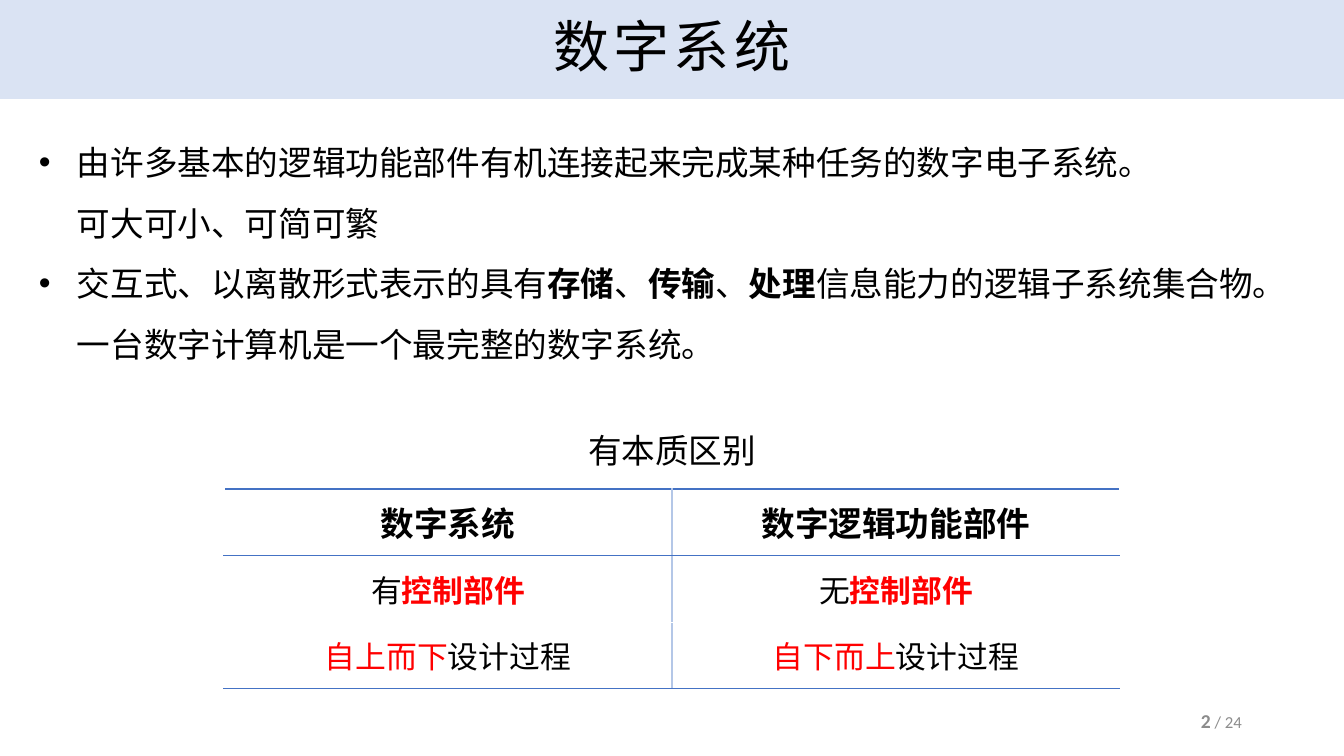
from dataclasses import dataclass

from lxml.etree import SubElement
from pptx import Presentation
from pptx.dml.color import RGBColor
from pptx.enum.shapes import MSO_SHAPE as Shape
from pptx.enum.text import MSO_ANCHOR as Anchor, PP_ALIGN as Align
from pptx.oxml.ns import qn
from pptx.util import Pt

EMU_PER_PX = 914400 / 100.8


@dataclass(frozen=True)
class Theme:
    text: str = "000000"
    accent: str = "FF0000"
    muted: str = "8C8C8C"
    banner: str = "DAE3F3"
    rule: str = "4472C4"
    divider: str = "B4C7E7"
    cjk_font: str = "Noto Sans CJK SC"
    latin_font: str = "Calibri"
    title_size: int = 40
    body_size: int = 24
    cell_size: int = 22
    number_size: int = 14
    total_size: int = 12


THEME = Theme()


def px(value):
    return round(value * EMU_PER_PX)


def place(box):
    return [px(value) for value in box]


def add_run(paragraph, text, size, bold=False, color=THEME.text, font=THEME.cjk_font):
    run = paragraph.add_run()
    run.text = text
    run.font.size = Pt(size)
    run.font.bold = bold
    run.font.color.rgb = RGBColor.from_string(color)
    run.font.name = font
    SubElement(run.font._element, qn("a:ea"), typeface=THEME.cjk_font)
    return run


def add_text_box(slide, box):
    text_frame = slide.shapes.add_textbox(*place(box)).text_frame
    text_frame.word_wrap = True
    return text_frame


def add_title(slide, box, title):
    banner = slide.shapes.add_shape(Shape.RECTANGLE, *place(box))
    banner.shadow.inherit = False
    banner.fill.solid()
    banner.fill.fore_color.rgb = RGBColor.from_string(THEME.banner)
    banner.line.fill.background()
    banner.text_frame.vertical_anchor = Anchor.MIDDLE
    paragraph = banner.text_frame.paragraphs[0]
    paragraph.alignment = Align.CENTER
    paragraph.line_spacing = 0.9
    run = add_run(paragraph, title, THEME.title_size)
    run.font._element.set("spc", "300")


def add_bullets(slide, box, bullets):
    """Each bullet is a list of lines; every second part of a line is bold."""
    text_frame = add_text_box(slide, box)
    for index, lines in enumerate(bullets):
        paragraph = text_frame.add_paragraph() if index else text_frame.paragraphs[0]
        paragraph.line_spacing = 1.5
        properties = paragraph._p.get_or_add_pPr()
        properties.set("marL", str(px(38)))
        properties.set("indent", str(-px(38)))
        SubElement(properties, qn("a:buFont"), typeface="Arial")
        SubElement(properties, qn("a:buChar"), char="•")
        for line_index, parts in enumerate(lines):
            if line_index:
                paragraph.add_line_break()
            for part_index, part in enumerate(parts):
                add_run(paragraph, part, THEME.body_size, bold=part_index % 2 == 1)


def add_caption(slide, box, caption):
    paragraph = add_text_box(slide, box).paragraphs[0]
    paragraph.alignment = Align.CENTER
    add_run(paragraph, caption, THEME.body_size)


def add_border(cell, side, color):
    properties = cell._tc.get_or_add_tcPr()
    line = SubElement(properties, qn(f"a:ln{side}"), w=str(Pt(1)))
    fill = SubElement(line, qn("a:solidFill"))
    SubElement(fill, qn("a:srgbClr"), val=color)


def add_comparison(slide, box, rows):
    """Each cell is a list of (text, bold, color) parts."""
    row_count, column_count = len(rows), len(rows[0])
    table = slide.shapes.add_table(row_count, column_count, *place(box)).table
    table.first_row = table.horz_banding = False
    for row_index, row in enumerate(rows):
        size = THEME.cell_size if row_index else THEME.body_size
        for column_index, parts in enumerate(row):
            cell = table.cell(row_index, column_index)
            cell.vertical_anchor = Anchor.MIDDLE
            paragraph = cell.text_frame.paragraphs[0]
            paragraph.alignment = Align.CENTER
            for text, bold, color in parts:
                add_run(paragraph, text, size, bold, color, THEME.latin_font)
            # Dividers between columns, rules around the header and at the foot
            if column_index > 0:
                add_border(cell, "L", THEME.divider)
            if column_index < column_count - 1:
                add_border(cell, "R", THEME.divider)
            if row_index < 2:
                add_border(cell, "T", THEME.rule)
            if row_index in (0, row_count - 1):
                add_border(cell, "B", THEME.rule)
            cell.fill.background()


def add_page_number(slide, box, number, total):
    text_frame = add_text_box(slide, box)
    text_frame.vertical_anchor = Anchor.MIDDLE
    paragraph = text_frame.paragraphs[0]
    paragraph.alignment = Align.RIGHT
    add_run(paragraph, str(number), THEME.number_size, True, THEME.muted, THEME.latin_font)
    add_run(paragraph, f" / {total}", THEME.total_size, False, THEME.muted, THEME.latin_font)


def main():
    presentation = Presentation()
    presentation.slide_width, presentation.slide_height = px(1344), px(756)
    slide = presentation.slides.add_slide(presentation.slide_layouts[6])

    # Title banner
    add_title(slide, (0, 0, 1344, 99), "数字系统")

    # Definitions
    add_bullets(slide, (29, 117, 1301, 247), [
        [["由许多基本的逻辑功能部件有机连接起来完成某种任务的数字电子系统。"],
         ["可大可小、可简可繁"]],
        [["交互式、以离散形式表示的具有", "存储", "、", "传输", "、", "处理",
          "信息能力的逻辑子系统集合物。"],
         ["一台数字计算机是一个最完整的数字系统。"]],
    ])

    # Comparison table with its caption
    add_caption(slide, (0, 425, 1344, 50), "有本质区别")
    headings = ("数字系统", "数字逻辑功能部件")
    controls = ("有", "无")
    directions = ("自上而下", "自下而上")
    add_comparison(slide, (224, 489, 896, 200), [
        [[(heading, True, THEME.text)] for heading in headings],
        [[(control, False, THEME.text), ("控制部件", True, THEME.accent)]
         for control in controls],
        [[(direction, False, THEME.accent), ("设计过程", False, THEME.text)]
         for direction in directions],
    ])

    # Page number
    add_page_number(slide, (950, 701, 302, 40), 2, 24)

    presentation.save("out.pptx")


if __name__ == "__main__":
    main()
